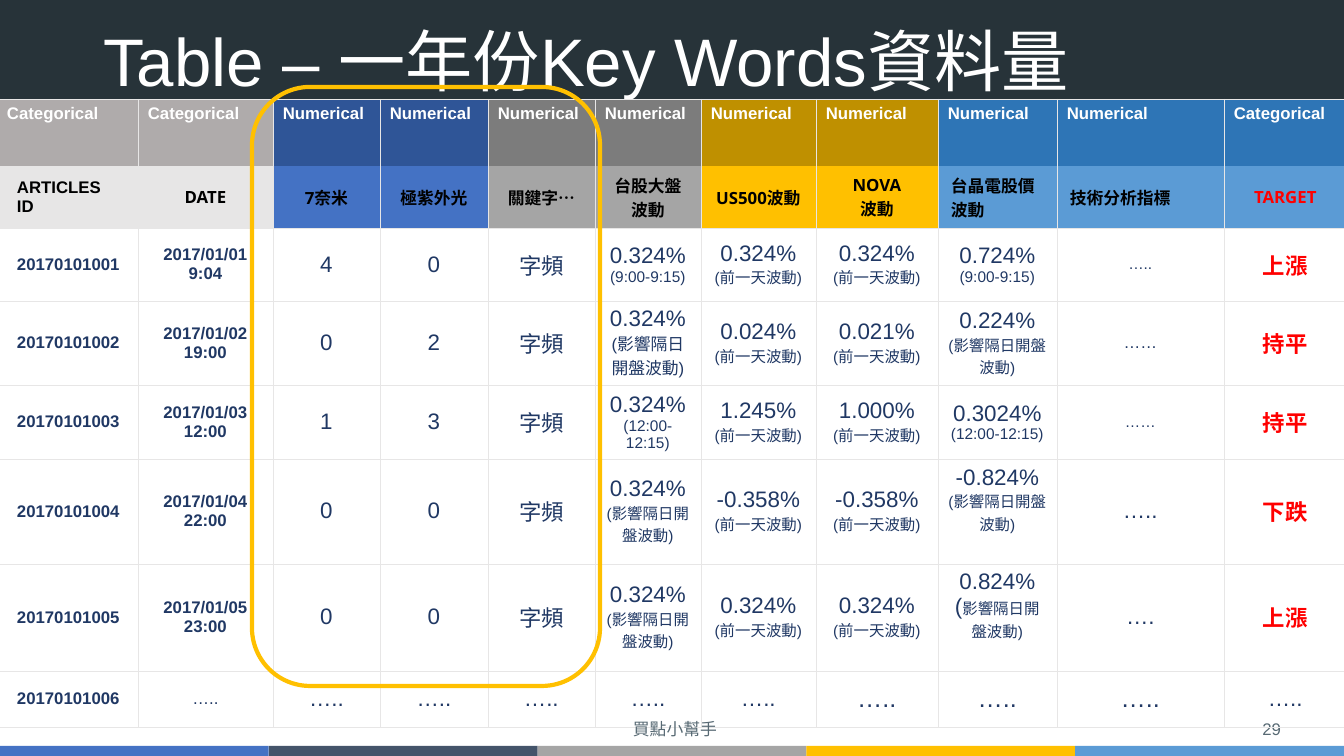
import lxml.etree
import pptx
import pptx.dml.color
import pptx.enum.shapes
import pptx.enum.text
import pptx.oxml.ns
import pptx.util

PX = 914400 / 100.8
SLIDE_WIDTH, SLIDE_HEIGHT = 1344, 756
COLORS = {
    "band": "273339", "white": "FFFFFF", "black": "000000", "red": "FF0000",
    "navy": "203864", "footer": "576973", "border": "E7E6E6", "stone": "AFABAB",
    "mist": "E7E6E6", "deep_blue": "2F5597", "blue": "4472C4", "slate": "44546A",
    "dark_gray": "7C7C7C", "gray": "A5A5A5", "bronze": "BF9000", "gold": "FFC000",
    "ocean": "2E75B6", "sky": "5B9BD5",
}
ALIGN = pptx.enum.text.PP_ALIGN
ANCHOR = pptx.enum.text.MSO_ANCHOR
SHAPE = pptx.enum.shapes.MSO_SHAPE

COLUMN_WIDTHS = [141, 135, 107, 108, 107, 106, 115, 122, 119, 167, 123]
ROW_HEIGHTS = [67, 62, 73, 84, 72, 105, 107, 56]
HEADERS = [
    ("Categorical", ["ARTICLES", "ID"], "stone", "mist"),
    ("Categorical", ["DATE"], "stone", "mist"),
    ("Numerical", ["7奈米"], "deep_blue", "blue"),
    ("Numerical", ["極紫外光"], "deep_blue", "blue"),
    ("Numerical", ["關鍵字…"], "dark_gray", "gray"),
    ("Numerical", ["台股大盤波動"], "dark_gray", "gray"),
    ("Numerical", ["US500波動"], "bronze", "gold"),
    ("Numerical", ["NOVA", "波動"], "bronze", "gold"),
    ("Numerical", ["台晶電股價波動"], "ocean", "sky"),
    ("Numerical", ["技術分析指標"], "ocean", "sky"),
    ("Categorical", ["TARGET"], "ocean", "sky"),
]
OVERNIGHT, PREVIOUS = "(影響隔日開盤波動)", "(前一天波動)"
MORNING, NOON = "(9:00-9:15)", "(12:00-12:15)"
ARTICLES = [
    ("20170101001", "2017/01/01", "9:04", "4", "0", ("0.324%", MORNING), "0.324%", "0.324%",
     ("0.724%", MORNING), ("…..", 11), "上漲"),
    ("20170101002", "2017/01/02", "19:00", "0", "2", ("0.324%", OVERNIGHT), "0.024%", "0.021%",
     ("0.224%", OVERNIGHT), ("……", 12), "持平"),
    ("20170101003", "2017/01/03", "12:00", "1", "3", ("0.324%", NOON), "1.245%", "1.000%",
     ("0.3024%", NOON), ("……", 11), "持平"),
    ("20170101004", "2017/01/04", "22:00", "0", "0", ("0.324%", OVERNIGHT), "-0.358%", "-0.358%",
     ("-0.824%", OVERNIGHT), ("…..", 16), "下跌"),
    ("20170101005", "2017/01/05", "23:00", "0", "0", ("0.324%", OVERNIGHT), "0.324%", "0.324%",
     ("0.824%", OVERNIGHT), ("….", 16), "上漲"),
]
LAST_ARTICLE = "20170101006"
LAST_SIZES = [12, 16, 16, 16, 16, 16, 18, 18, 18, 16]


def px(length):
    """Turn pixels into EMU."""
    return pptx.util.Emu(round(length * PX))


def rgb(name):
    """Look up a named colour."""
    return pptx.dml.color.RGBColor.from_string(COLORS[name])


def write_text(frame, paragraphs, size=12, font="Arial", color="navy", bold=False,
               align=ALIGN.LEFT, spacing=None):
    """Fill a text frame; a paragraph is a string or a list of (text, size) runs."""
    frame.word_wrap = True
    for index, content in enumerate(paragraphs):
        paragraph = frame.add_paragraph() if index else frame.paragraphs[0]
        paragraph.alignment = align
        if spacing:
            paragraph.line_spacing = spacing
        for text, run_size in [(content, size)] if isinstance(content, str) else content:
            run = paragraph.add_run()
            run.text = text
            run.font.name = font
            run.font.size = pptx.util.Pt(run_size)
            run.font.bold = bold
            run.font.color.rgb = rgb(color)


def add_box(slide, kind, box, fill=None, line=None):
    """Add a preset shape with an optional fill and outline."""
    shape = slide.shapes.add_shape(kind, *map(px, box))
    shape.shadow.inherit = False
    if fill:
        shape.fill.solid()
        shape.fill.fore_color.rgb = rgb(fill)
    else:
        shape.fill.background()
    if line:
        shape.line.color.rgb = rgb(line)
        shape.line.width = pptx.util.Pt(3)
    else:
        shape.line.fill.background()


def add_header(slide, box):
    """Draw the dark band and set the title on it."""
    left, top, width, height = box
    add_box(slide, SHAPE.RECTANGLE, box, fill="band")
    title = slide.shapes.title
    title.element.getparent().append(title.element)
    title.left, title.top = px(left + 93), px(top + 28)
    title.width, title.height = px(width - 185), px(height - 55)
    title.text_frame.auto_size = pptx.enum.text.MSO_AUTO_SIZE.NONE
    title.text_frame.vertical_anchor = ANCHOR.MIDDLE
    write_text(title.text_frame, ["Table – 一年份Key Words資料量"], size=48, color="white", spacing=0.9)


def add_stripes(slide, box):
    """Draw equal coloured stripes across the box."""
    left, top, width, height = box
    colors = ["blue", "slate", "gray", "gold", "sky"]
    step = width / len(colors)
    for index, color in enumerate(colors):
        add_box(slide, SHAPE.RECTANGLE, (left + index * step, top, step, height), fill=color)


def add_label(slide, box, text, align):
    """Add one footer label."""
    frame = slide.shapes.add_textbox(*map(px, box)).text_frame
    frame.vertical_anchor = ANCHOR.MIDDLE
    write_text(frame, [text], color="footer", align=align)


def set_borders(cell, sides):
    """Draw thin borders on the given sides and none on the others."""
    properties = cell._tc.get_or_add_tcPr()
    for side in "LRTB":
        line = lxml.etree.SubElement(properties, pptx.oxml.ns.qn(f"a:ln{side}"), w="3175")
        kind = "solidFill" if side in sides else "noFill"
        fill = lxml.etree.SubElement(line, pptx.oxml.ns.qn(f"a:{kind}"))
        if side in sides:
            lxml.etree.SubElement(fill, pptx.oxml.ns.qn("a:srgbClr"), val=COLORS["border"])


def fill_cell(cell, paragraphs, fill=None, sides="LRTB", anchor=ANCHOR.MIDDLE,
              margins=(10, 5, 10, 5), **text_format):
    """Format one table cell and write its text."""
    set_borders(cell, sides)
    if fill:
        cell.fill.solid()
        cell.fill.fore_color.rgb = rgb(fill)
    else:
        cell.fill.background()
    cell.vertical_anchor = anchor
    cell.margin_left, cell.margin_top, cell.margin_right, cell.margin_bottom = map(px, margins)
    write_text(cell.text_frame, paragraphs, **text_format)


def fill_headers(table):
    """Write the variable kinds and the column names."""
    for column, (kind, name, dark, light) in enumerate(HEADERS):
        fill_cell(table.cell(0, column), [kind], fill=dark, sides="LRT", anchor=ANCHOR.TOP,
                  color="white", bold=True)
        fill_cell(table.cell(1, column), name, fill=light, sides="LRB", bold=True,
                  margins=(13, 7, 13, 7) if column else (20, 5, 10, 5),
                  font="Arial" if column in (0, 8, 9) else "Open Sans",
                  color="red" if name == ["TARGET"] else "black",
                  align=ALIGN.LEFT if column in (0, 8, 9) else ALIGN.CENTER)


def fill_article(table, row, article):
    """Write one article row."""
    number, date, time, first, second, market, index, share, target_share, dots, target = article
    fill_cell(table.cell(row, 0), [number], margins=(20, 5, 10, 5), bold=True)
    fill_cell(table.cell(row, 1), [date, time], bold=True, align=ALIGN.CENTER)
    for column, text in enumerate([first, second, "字頻"], 2):
        fill_cell(table.cell(row, column), [text], size=16, align=ALIGN.CENTER)
    changes = [market, (index, PREVIOUS), (share, PREVIOUS), target_share]
    for column, (change, note) in enumerate(changes, 5):
        runs = [(note, 12 if (row, column) == (3, 5) else 11)]
        if (row, column) == (6, 8):
            runs = [(note[0], 16), (note[1:], 11)]
        lifted = column == 8 and row in (5, 6)
        fill_cell(table.cell(row, column), [[(change, 16)], runs], align=ALIGN.CENTER,
                  margins=(10, 5, 10, 28 if lifted else 5))
    fill_cell(table.cell(row, 9), [[dots]], align=ALIGN.CENTER)
    fill_cell(table.cell(row, 10), [target], size=16, color="red", bold=True, align=ALIGN.CENTER)


def add_data_table(slide, left, top):
    """Add the keyword table at the given corner."""
    frame = slide.shapes.add_table(len(ROW_HEIGHTS), len(COLUMN_WIDTHS), px(left), px(top),
                                   px(sum(COLUMN_WIDTHS)), px(sum(ROW_HEIGHTS)))
    table = frame.table
    table.first_row = table.horz_banding = False
    for column, width in zip(table.columns, COLUMN_WIDTHS):
        column.width = px(width)
    for row, height in zip(table.rows, ROW_HEIGHTS):
        row.height = px(height)
    fill_headers(table)
    for row, article in enumerate(ARTICLES, 2):
        fill_article(table, row, article)
    last = len(ROW_HEIGHTS) - 1
    fill_cell(table.cell(last, 0), [LAST_ARTICLE], margins=(20, 5, 10, 5), bold=True)
    for column, size in enumerate(LAST_SIZES, 1):
        fill_cell(table.cell(last, column), ["….."], size=size, align=ALIGN.CENTER)


def main():
    """Build and save the slide."""
    presentation = pptx.Presentation()
    presentation.slide_width, presentation.slide_height = px(SLIDE_WIDTH), px(SLIDE_HEIGHT)
    slide = presentation.slides.add_slide(presentation.slide_layouts[5])
    add_header(slide, (0, -1, SLIDE_WIDTH, 130))
    add_stripes(slide, (0, 746, SLIDE_WIDTH, 10))
    add_label(slide, (989, 713, 302, 31), "29", ALIGN.RIGHT)
    add_data_table(slide, -3, 99)
    add_box(slide, SHAPE.ROUNDED_RECTANGLE, (252, 87, 348, 599), line="gold")
    add_label(slide, (448, 713, 454, 31), "買點小幫手", ALIGN.CENTER)
    presentation.save("out.pptx")


if __name__ == "__main__":
    main()
